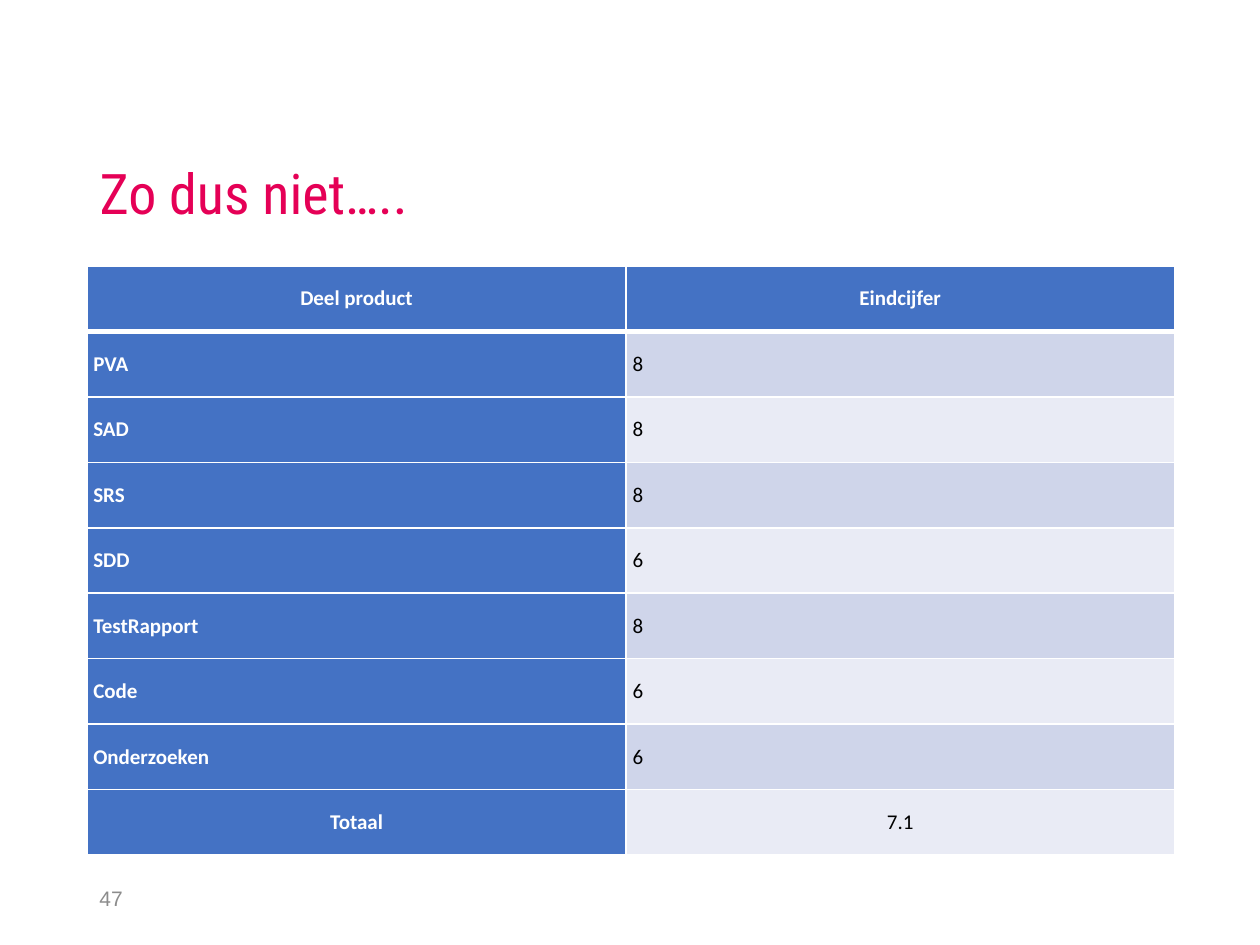
"""Build the slide that shows the final grades per partial product."""
import lxml.etree
import pptx
import pptx.dml.color
import pptx.enum.text
import pptx.oxml.ns
import pptx.util

Inches = pptx.util.Inches
Pt = pptx.util.Pt
Align = pptx.enum.text.PP_ALIGN
Anchor = pptx.enum.text.MSO_ANCHOR

TITLE = "Zo dus niet….."
PAGE_NUMBER = "47"
GRADES = [
    ("Deel product", "Eindcijfer"),
    ("PVA", "8"),
    ("SAD", "8"),
    ("SRS", "8"),
    ("SDD", "6"),
    ("TestRapport", "8"),
    ("Code", "6"),
    ("Onderzoeken", "6"),
    ("Totaal", "7.1"),
]

THEME = {
    "title": {"font": "Roboto Condensed", "size": 32, "color": "E50056"},
    "page": {"font": "Arial", "size": 12, "color": "8C8C8C"},
    "heading": {"font": "Calibri", "size": 12, "color": "FFFFFF", "bold": True},
    "grade": {"font": "Calibri", "size": 12, "color": "000000"},
    "heading_fill": "4472C4",
    "bands": ("E9EBF5", "CFD5EA"),
    "border": "FFFFFF",
}

LEFT, WIDTH = 0.69, 8.62
TABLE_TOP, ROW_HEIGHT = 2.11, 0.52
COLUMN_WIDTHS = (4.28, 4.35)
CELL_INSET = 0.05


def rgb(value):
    return pptx.dml.color.RGBColor.from_string(value)


def write(frame, text, style, align=Align.LEFT):
    frame.text = text
    paragraph = frame.paragraphs[0]
    paragraph.alignment = align
    font = paragraph.runs[0].font
    font.name = style["font"]
    font.size = Pt(style["size"])
    font.bold = style.get("bold", False)
    font.color.rgb = rgb(style["color"])
    return paragraph


def place(shape, left, top, width, height):
    shape.left, shape.top = Inches(left), Inches(top)
    shape.width, shape.height = Inches(width), Inches(height)


def add_borders(cell, widths):
    qn = pptx.oxml.ns.qn
    properties = cell._tc.get_or_add_tcPr()
    for side, width in widths.items():
        line = lxml.etree.SubElement(properties, qn(f"a:ln{side}"), w=str(Pt(width)))
        fill = lxml.etree.SubElement(line, qn("a:solidFill"))
        lxml.etree.SubElement(fill, qn("a:srgbClr"), val=THEME["border"])


def add_title(slide):
    title = slide.shapes.title
    place(title, LEFT, 0.4, WIDTH, 1.45)
    title.text_frame.vertical_anchor = Anchor.BOTTOM
    title.text_frame.auto_size = pptx.enum.text.MSO_AUTO_SIZE.NONE
    write(title.text_frame, TITLE, THEME["title"]).line_spacing = 0.9


def add_page_number(slide):
    page = slide.shapes.add_textbox(Inches(LEFT), Inches(6.93), Inches(2.25), Inches(0.4))
    page.text_frame.word_wrap = True
    page.text_frame.vertical_anchor = Anchor.MIDDLE
    write(page.text_frame, PAGE_NUMBER, THEME["page"])


def add_grades(slide):
    last = len(GRADES) - 1
    grades = slide.shapes.add_table(
        len(GRADES), len(COLUMN_WIDTHS), Inches(LEFT), Inches(TABLE_TOP),
        Inches(sum(COLUMN_WIDTHS)), Inches(ROW_HEIGHT * len(GRADES)),
    ).table
    grades.first_col = True
    for column, width in zip(grades.columns, COLUMN_WIDTHS):
        column.width = Inches(width)
    for r, entries in enumerate(GRADES):
        grades.rows[r].height = Inches(ROW_HEIGHT)
        for c, entry in enumerate(entries):
            cell = grades.cell(r, c)
            is_heading = r == 0 or c == 0
            cell.vertical_anchor = Anchor.MIDDLE
            cell.margin_left = cell.margin_right = Inches(CELL_INSET)
            cell.margin_top = cell.margin_bottom = Inches(CELL_INSET)
            add_borders(cell, {"L": 1, "R": 1, "T": 3 if r == 1 else 1, "B": 3 if r == 0 else 1})
            cell.fill.solid()
            cell.fill.fore_color.rgb = rgb(THEME["heading_fill"] if is_heading else THEME["bands"][r % 2])
            write(cell.text_frame, entry, THEME["heading" if is_heading else "grade"],
                  Align.CENTER if r in (0, last) else Align.LEFT)


def main():
    deck = pptx.Presentation()
    deck.slide_width, deck.slide_height = Inches(10), Inches(7.5)
    slide = deck.slides.add_slide(deck.slide_layouts.get_by_name("Title Only"))
    add_title(slide)
    add_page_number(slide)
    add_grades(slide)
    deck.save("out.pptx")


if __name__ == "__main__":
    main()
